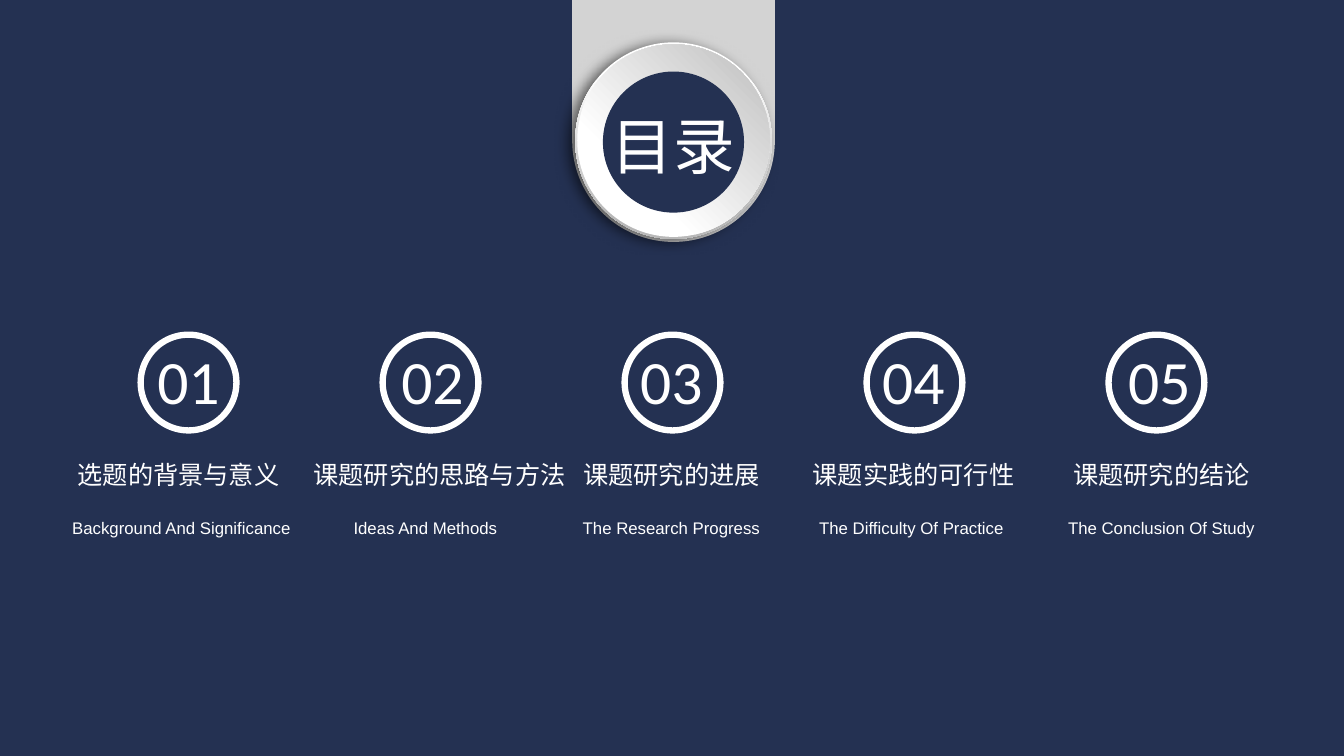
from pptx import Presentation
from pptx.dml.color import RGBColor
from pptx.enum.shapes import MSO_SHAPE
from pptx.enum.text import MSO_ANCHOR, PP_ALIGN
from pptx.oxml import parse_xml
from pptx.oxml.ns import nsdecls, qn
from pptx.util import Inches, Pt

COLORS = {"navy": "243152", "white": "FFFFFF", "tab": "D3D3D3",
          "rim_gray": "B8B8B8", "face_gray": "BFBFBF"}
CJK_FONT = "Noto Sans CJK SC"


def add_plain_shape(kind, center, top, width, height, color=None):
    """Add a shape centred on a vertical axis, without line or shadow."""
    shape = slide.shapes.add_shape(kind, Inches(center - width / 2), Inches(top),
                                   Inches(width), Inches(height))
    shape.shadow.inherit = False
    shape.line.fill.background()
    if color:
        shape.fill.solid()
        shape.fill.fore_color.rgb = RGBColor.from_string(COLORS[color])
    else:
        shape.fill.background()
    return shape


def set_text(shape, text, size, font):
    """Write one centred white line."""
    frame = shape.text_frame
    frame.text = text
    frame.word_wrap = True
    frame.vertical_anchor = MSO_ANCHOR.MIDDLE
    frame.margin_left = frame.margin_right = 0
    frame.margin_top = frame.margin_bottom = Inches(0.05)
    paragraph = frame.paragraphs[0]
    paragraph.alignment = PP_ALIGN.CENTER
    run = paragraph.runs[0]
    run.font.size = Pt(size)
    run.font.name = font
    run.font.color.rgb = RGBColor.from_string(COLORS["white"])
    east_asian = run.font._element.makeelement(qn("a:ea"), {"typeface": font})
    run.font._element.find(qn("a:latin")).addnext(east_asian)


presentation = Presentation()
presentation.slide_width = Inches(13.33)
presentation.slide_height = Inches(7.5)
slide = presentation.slides.add_slide(presentation.slide_layouts[5])
slide.background.fill.solid()
slide.background.fill.fore_color.rgb = RGBColor.from_string(COLORS["navy"])

# Hanging tab with a round end
badge_center = 6.68
add_plain_shape(MSO_SHAPE.RECTANGLE, badge_center, 0, 2.01, 1.4, "tab")
add_plain_shape(MSO_SHAPE.OVAL, badge_center, 0.39, 2.01, 2.01, "tab")

# Badge: shaded rim, shaded face, navy centre
rim = add_plain_shape(MSO_SHAPE.OVAL, badge_center, 0.42, 1.95, 1.95)
face = add_plain_shape(MSO_SHAPE.OVAL, badge_center, 0.44, 1.91, 1.91)
for disc, gray, angle, positions in ((rim, "rim_gray", 270, (0.17, 0.88)),
                                     (face, "face_gray", 45, (0.29, 0.98))):
    disc.fill.gradient()
    disc.fill.gradient_angle = angle
    for stop, color, position in zip(disc.fill.gradient_stops, ("white", gray), positions):
        stop.color.rgb = RGBColor.from_string(COLORS[color])
        stop.position = position
effects = rim._element.spPr.find(qn("a:effectLst"))
effects.append(parse_xml(
    f'<a:outerShdw {nsdecls("a")} blurRad="127000" dist="63500" dir="9600000" '
    'algn="ctr" rotWithShape="0"><a:srgbClr val="000000"><a:alpha val="60000"/>'
    '</a:srgbClr></a:outerShdw>'))
add_plain_shape(MSO_SHAPE.OVAL, badge_center, 0.71, 1.4, 1.4, "navy")

# Title, brought in front of the badge
title = slide.shapes.title
title.left, title.top = Inches(badge_center - 1.1), Inches(1.02)
title.width, title.height = Inches(2.2), Inches(0.84)
set_text(title, "目录", 44, CJK_FONT)
title._element.getparent().append(title._element)

# Chapters: heading, its centre, subtitle, its centre, centre of the number
chapters = [
    ("选题的背景与意义", 1.77, "Background And Significance", 1.8, 1.87),
    ("课题研究的思路与方法", 4.36, "Ideas And Methods", 4.22, 4.29),
    ("课题研究的进展", 6.66, "The Research Progress", 6.66, 6.66),
    ("课题实践的可行性", 9.06, "The Difficulty Of Practice", 9.04, 9.06),
    ("课题研究的结论", 11.52, "The Conclusion Of Study", 11.52, 11.5),
]
for index, (heading, heading_center, subtitle, subtitle_center, number_center) in enumerate(chapters):
    ring = add_plain_shape(MSO_SHAPE.OVAL, 1.87 + 2.4 * index, 3.32, 0.95, 0.95)
    ring.line.color.rgb = RGBColor.from_string(COLORS["white"])
    ring.line.width = Pt(4.5)
    for text, center, top, width, height, size, font in (
            (f"{index + 1:02d}", number_center, 3.35, 0.87, 0.84, 44, "Calibri"),
            (heading, heading_center, 4.51, 2.8, 0.4, 18, CJK_FONT),
            (subtitle, subtitle_center, 5.09, 2.8, 0.3, 12, "Arial")):
        box = slide.shapes.add_textbox(Inches(center - width / 2), Inches(top),
                                       Inches(width), Inches(height))
        set_text(box, text, size, font)

presentation.save("out.pptx")
